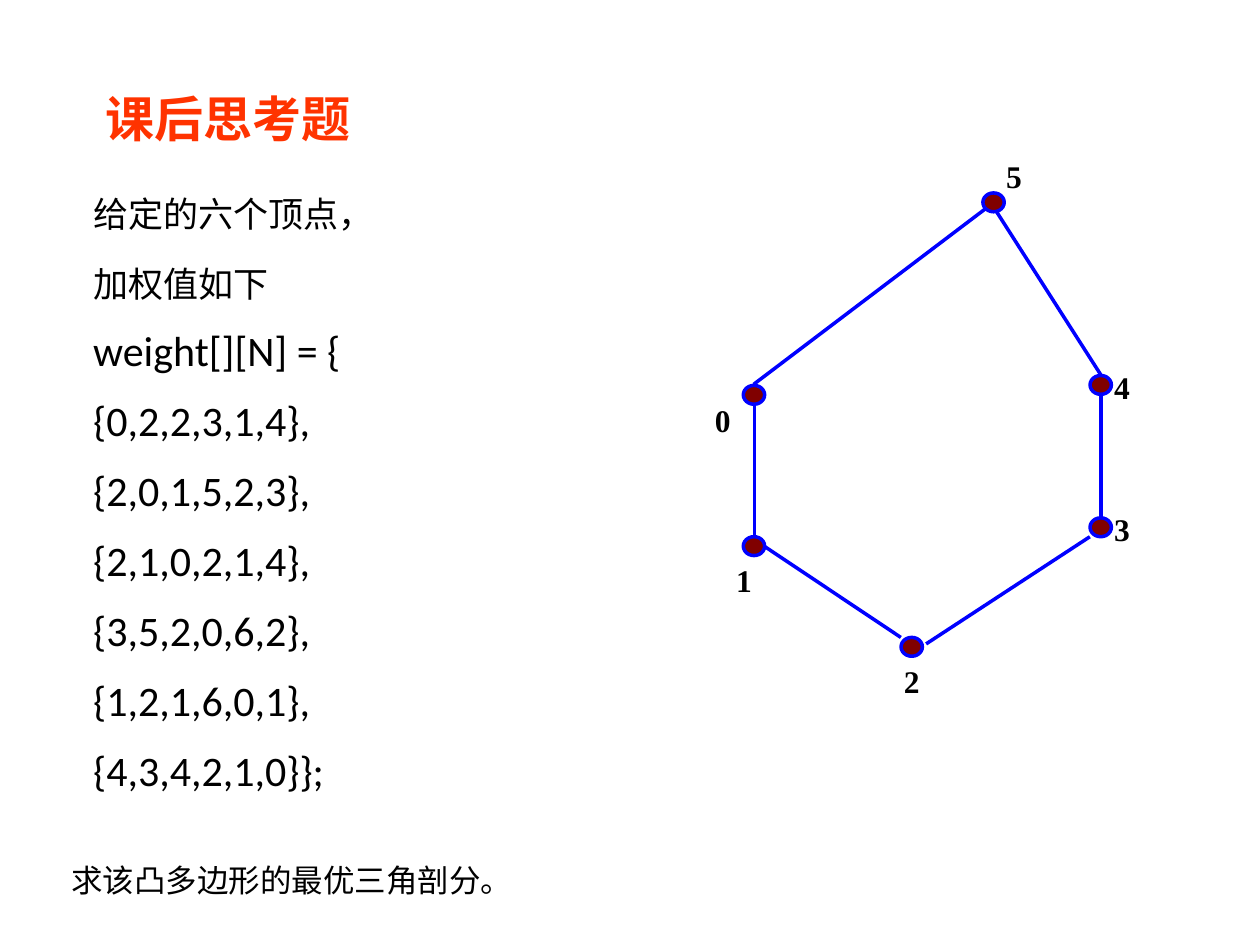
import pptx
import pptx.dml.color
import pptx.enum.shapes
import pptx.enum.text
import pptx.oxml.ns
import pptx.util
from lxml import etree

Cm, Pt = pptx.util.Cm, pptx.util.Pt
ALIGN = pptx.enum.text.PP_ALIGN
ANCHOR = pptx.enum.text.MSO_ANCHOR
FIT = pptx.enum.text.MSO_AUTO_SIZE

COLOURS = {"title": "FF3300", "text": "000000", "edge": "0000FF", "vertex": "800000"}
HAN, SERIF, SANS = "Noto Sans CJK SC", "Times New Roman", "Calibri"
DOT_WIDTH, DOT_HEIGHT = 0.43, 0.38
LABEL_SIZE = (0.84, 1.02)

WEIGHTS = [
    (0, 2, 2, 3, 1, 4),
    (2, 0, 1, 5, 2, 3),
    (2, 1, 0, 2, 1, 4),
    (3, 5, 2, 0, 6, 2),
    (1, 2, 1, 6, 0, 1),
    (4, 3, 4, 2, 1, 0),
]
# Centre of each vertex and top left corner of its label, in vertex order
VERTICES = [
    ((15.2, 7.96), (14.15, 7.95)),
    ((15.2, 11.01), (14.58, 11.18)),
    ((18.38, 13.04), (17.96, 13.23)),
    ((22.19, 10.63), (22.2, 10.16)),
    ((22.19, 7.76), (22.2, 7.29)),
    ((20.03, 4.08), (20.02, 3.05)),
]
EDGES = [
    ((15.21, 8.15), (15.21, 10.82)),
    ((15.42, 11.02), (18.16, 12.85)),
    ((18.67, 12.98), (21.97, 10.82)),
    ((22.2, 10.44), (22.2, 7.95)),
    ((22.2, 7.57), (20.09, 4.27)),
    ((19.89, 4.19), (15.19, 7.75)),
]


def rgb(name):
    return pptx.dml.color.RGBColor.from_string(COLOURS[name])


class SlideBuilder:
    def __init__(self, slide):
        self.slide = slide
        self.line_width = Pt(2)

    def fill_frame(self, frame, lines, colour="text", align=ALIGN.LEFT, spacing=None,
                   wrap=True, anchor=ANCHOR.TOP, fit=FIT.NONE):
        """Fill a text frame with (text, font format) lines."""
        frame_format = {"word_wrap": wrap, "vertical_anchor": anchor, "auto_size": fit}
        for key, value in frame_format.items():
            setattr(frame, key, value)
        for number, (text, font_format) in enumerate(lines):
            paragraph = frame.paragraphs[0] if number == 0 else frame.add_paragraph()
            paragraph.alignment = align
            if spacing:
                paragraph.line_spacing = spacing
            run = paragraph.add_run()
            run.text = text
            for key, value in font_format.items():
                setattr(run.font, key, value)
            run.font.color.rgb = rgb(colour)
            east_asian = etree.SubElement(run.font._element, pptx.oxml.ns.qn("a:ea"))
            east_asian.set("typeface", HAN)

    def title(self, box, text):
        heading = self.slide.shapes.title
        for key, value in zip(("left", "top", "width", "height"), box):
            setattr(heading, key, Cm(value))
        font_format = {"name": HAN, "size": Pt(28), "bold": True}
        self.fill_frame(heading.text_frame, [(text, font_format)], "title",
                        anchor=ANCHOR.MIDDLE)

    def text(self, box, lines, **options):
        text_box = self.slide.shapes.add_textbox(*map(Cm, box))
        self.fill_frame(text_box.text_frame, lines, **options)

    def edge(self, start, end):
        edge = self.slide.shapes.add_connector(
            pptx.enum.shapes.MSO_CONNECTOR.STRAIGHT, *map(Cm, start + end))
        edge.line.color.rgb = rgb("edge")
        edge.line.width = self.line_width
        etree.SubElement(edge._element.spPr, pptx.oxml.ns.qn("a:effectLst"))

    def vertex(self, centre, label, label_corner):
        x, y = centre
        dot = self.slide.shapes.add_shape(
            pptx.enum.shapes.MSO_SHAPE.OVAL, Cm(x - DOT_WIDTH / 2),
            Cm(y - DOT_HEIGHT / 2), Cm(DOT_WIDTH), Cm(DOT_HEIGHT))
        dot.shadow.inherit = False
        dot.fill.solid()
        dot.fill.fore_color.rgb = rgb("vertex")
        dot.line.color.rgb = rgb("edge")
        dot.line.width = self.line_width
        font_format = {"name": SERIF, "size": Pt(18), "bold": True}
        self.text(label_corner + LABEL_SIZE, [(label, font_format)],
                  align=ALIGN.CENTER, wrap=False, fit=FIT.SHAPE_TO_FIT_TEXT)


def main():
    deck = pptx.Presentation()
    deck.slide_width, deck.slide_height = Cm(25.4), Cm(19.05)
    builder = SlideBuilder(deck.slides.add_slide(deck.slide_layouts.get_by_name("Title Only")))

    builder.title((1.88, 1.65, 16.08, 1.45), "课后思考题")

    prose = {"name": SERIF, "size": Pt(20)}
    code = {"name": SANS, "size": Pt(24)}
    rows = ["{" + ",".join(map(str, row)) + "}" for row in WEIGHTS]
    matrix = ["weight[][N] = {"] + [row + "," for row in rows[:-1]] + [rows[-1] + "};"]
    lines = [("给定的六个顶点，", prose), ("加权值如下", prose)]
    lines += [(line, code) for line in matrix]
    builder.text((1.63, 3.2, 11.61, 13.64), lines, spacing=Pt(40))

    for start, end in EDGES:
        builder.edge(start, end)
    for number, (centre, label_corner) in enumerate(VERTICES):
        builder.vertex(centre, str(number), label_corner)

    question = ("求该凸多边形的最优三角剖分。", {"name": SERIF, "size": Pt(18)})
    builder.text((1.19, 16.59, 9.5, 1.68), [question], spacing=Pt(40),
                 wrap=False, fit=FIT.SHAPE_TO_FIT_TEXT)

    deck.save("out.pptx")


if __name__ == "__main__":
    main()
